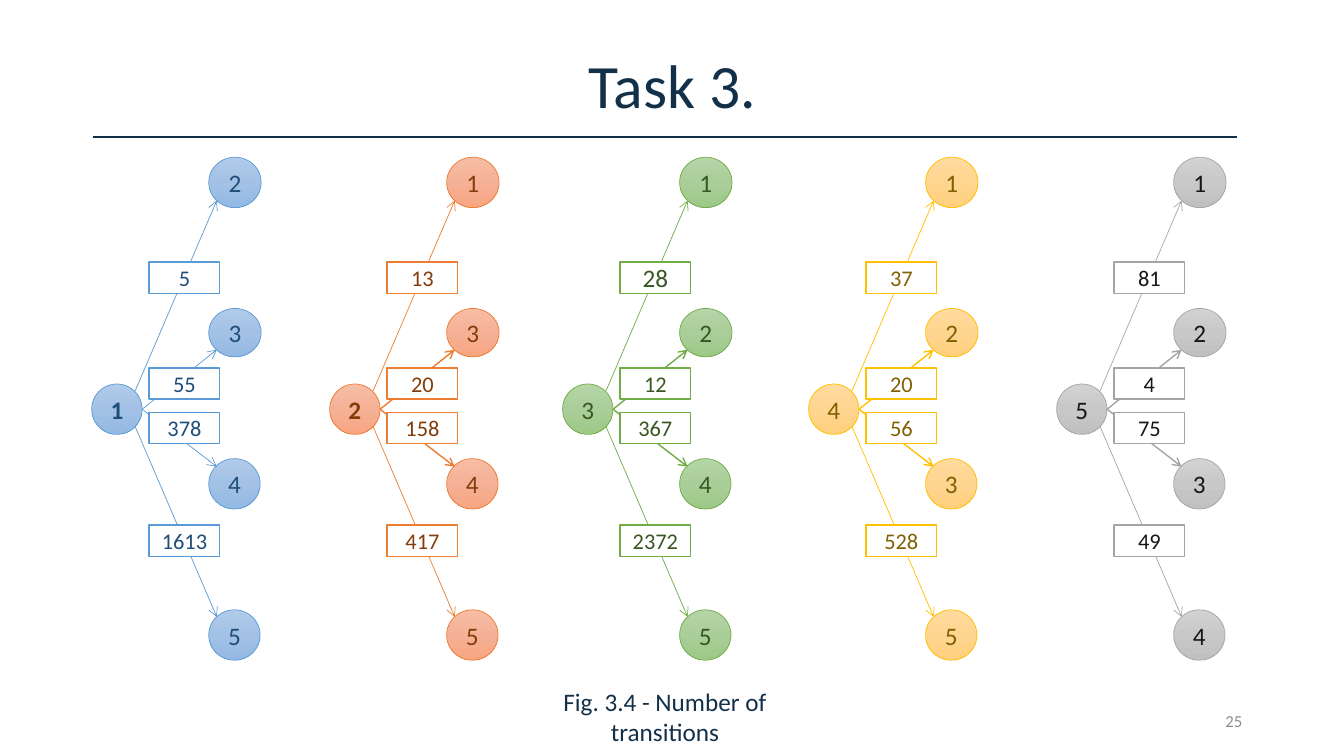
from copy import deepcopy
from dataclasses import dataclass

from pptx import Presentation
from pptx.dml.color import RGBColor
from pptx.enum import shapes as kinds, text as txt
from pptx.oxml import ns, xmlchemy
from pptx.util import Inches, Pt

NAVY, GREY, WHITE = "133049", "8C8C8C", "FFFFFF"
FONT = "Calibri"
HUB_TOP, HUB_SIZE = 3.81, 0.5
# Offsets from the left edge of a group's target circles
HUB_DX, COUNT_DX, TIP_DX = -1.16, -0.59, 0.08
OUTER_START_DX, INNER_START_DX = -0.73, -0.66


@dataclass(frozen=True)
class Theme:
    gradient: tuple[str, str, str]
    line: str
    ink: str


@dataclass(frozen=True)
class Group:
    """One state and the number of transitions to each other state."""
    left: float
    state: str
    counts: dict[str, str]
    theme: Theme
    bold: bool = False
    inner_weight: float = 1
    first_count_size: int = 16


@dataclass(frozen=True)
class Branch:
    """Vertical layout of one transition, shared by all groups."""
    target_top: float
    target_width: float
    target_height: float
    count_top: float
    start_dx: float
    start_y: float
    tip_y: float


BRANCHES = (
    Branch(1.56, 0.52, 0.5, 2.6, OUTER_START_DX, 3.88, 1.99),
    Branch(3.06, 0.52, 0.48, 3.65, INNER_START_DX, 4.06, 3.47),
    Branch(4.55, 0.51, 0.5, 4.09, INNER_START_DX, 4.06, 4.63),
    Branch(6.05, 0.51, 0.5, 5.21, OUTER_START_DX, 4.23, 6.12),
)

GROUPS = (
    Group(2.07, "1", {"2": "5", "3": "55", "4": "378", "5": "1613"},
          Theme(("B1CBE9", "A3C1E5", "93B9E4"), "5B9BD5", "1F4E79"),
          bold=True, inner_weight=0.5),
    Group(4.43, "2", {"1": "13", "3": "20", "4": "158", "5": "417"},
          Theme(("F7BDA5", "F5B196", "F8A582"), "ED7D31", "843C0B"), bold=True),
    Group(6.74, "3", {"1": "28", "2": "12", "4": "367", "5": "2372"},
          Theme(("B5D5A7", "AACE9A", "9CC987"), "70AD47", "385723"),
          first_count_size=18),
    Group(9.18, "4", {"1": "37", "2": "20", "3": "56", "5": "528"},
          Theme(("FFDB9E", "FFD590", "FFD07C"), "FFC000", "806000")),
    Group(11.64, "5", {"1": "81", "2": "4", "3": "75", "4": "49"},
          Theme(("D2D2D2", "C8C8C8", "C0C0C0"), "A5A5A5", "181717")),
)


def rgb(value: str) -> RGBColor:
    return RGBColor.from_string(value)


def write(shape, wording: str, size: float, color: str, bold: bool = False,
          align=txt.PP_ALIGN.CENTER, anchor=txt.MSO_ANCHOR.MIDDLE):
    frame = shape.text_frame
    frame.word_wrap = True
    frame.vertical_anchor = anchor
    paragraph = frame.paragraphs[0]
    paragraph.text = wording
    paragraph.alignment = align
    font = paragraph.font
    font.name, font.size, font.bold = FONT, Pt(size), bold
    font.color.rgb = rgb(color)
    return paragraph


def add_outlined(slide, kind, box: tuple, color: str, weight: float):
    shape = slide.shapes.add_shape(kind, *map(Inches, box))
    shape.shadow.inherit = False
    shape.line.color.rgb = rgb(color)
    shape.line.width = Pt(weight)
    frame = shape.text_frame
    frame.margin_left = frame.margin_right = 0
    frame.margin_top = frame.margin_bottom = 0
    return shape


def add_state(slide, box: tuple, state: str, theme: Theme, bold: bool = False) -> None:
    circle = add_outlined(slide, kinds.MSO_SHAPE.OVAL, box, theme.line, 0.5)
    circle.fill.gradient()
    circle.fill.gradient_angle = 270
    stop_list = circle._element.spPr.find(".//" + ns.qn("a:gsLst"))
    stop_list.insert(1, deepcopy(stop_list[0]))
    for stop, color, position in zip(circle.fill.gradient_stops, theme.gradient, (0, 0.5, 1)):
        stop.color.rgb = rgb(color)
        stop.position = position
    write(circle, state, 18, theme.ink, bold)


def add_count(slide, left: float, top: float, count: str, theme: Theme, size: int) -> None:
    label = add_outlined(slide, kinds.MSO_SHAPE.RECTANGLE, (left, top, 0.7, 0.31), theme.line, 1)
    label.fill.solid()
    label.fill.fore_color.rgb = rgb(WHITE)
    write(label, count, size, theme.ink)


def add_line(slide, ends: tuple, color: str, weight: float, arrow: bool = False) -> None:
    line = slide.shapes.add_connector(kinds.MSO_CONNECTOR.STRAIGHT, *map(Inches, ends))
    line.line.color.rgb = rgb(color)
    line.line.width = Pt(weight)
    properties = line._element.spPr
    if arrow:
        head = xmlchemy.OxmlElement("a:tailEnd")
        head.set("type", "arrow")
        properties.find(ns.qn("a:ln")).append(head)
    properties.append(xmlchemy.OxmlElement("a:effectLst"))


def add_group(slide, group: Group) -> None:
    theme, left = group.theme, group.left
    add_state(slide, (left + HUB_DX, HUB_TOP, HUB_SIZE, HUB_SIZE), group.state, theme, group.bold)
    for branch, target in zip(BRANCHES, group.counts):
        add_state(slide, (left, branch.target_top, branch.target_width, branch.target_height),
                  target, theme)
        weight = group.inner_weight if branch.start_dx == INNER_START_DX else 0.5
        ends = (left + branch.start_dx, branch.start_y, left + TIP_DX, branch.tip_y)
        add_line(slide, ends, theme.line, weight, arrow=True)
    for index, (branch, count) in enumerate(zip(BRANCHES, group.counts.values())):
        size = 16 if index else group.first_count_size
        add_count(slide, left + COUNT_DX, branch.count_top, count, theme, size)


def add_text_box(slide, box: tuple):
    return slide.shapes.add_textbox(*map(Inches, box))


def main() -> None:
    deck = Presentation()
    deck.slide_width, deck.slide_height = Inches(13.33), Inches(7.5)
    slide = deck.slides.add_slide(deck.slide_layouts[6])

    title = write(add_text_box(slide, (0.92, 0.4, 11.5, 0.96)), "Task 3.", 44, NAVY)
    title.line_spacing = 0.9
    write(add_text_box(slide, (9.42, 6.95, 3, 0.4)), "25", 12, GREY,
          align=txt.PP_ALIGN.RIGHT)
    add_line(slide, (0.92, 1.36, 12.27, 1.36), NAVY, 1.75)

    for group in GROUPS:
        add_group(slide, group)

    caption = add_text_box(slide, (4.94, 6.76, 3.31, 0.4))
    caption.text_frame.margin_left = caption.text_frame.margin_right = Inches(0.5)
    write(caption, "Fig. 3.4 - Number of transitions", 18, NAVY, anchor=txt.MSO_ANCHOR.TOP)

    deck.save("out.pptx")


if __name__ == "__main__":
    main()
